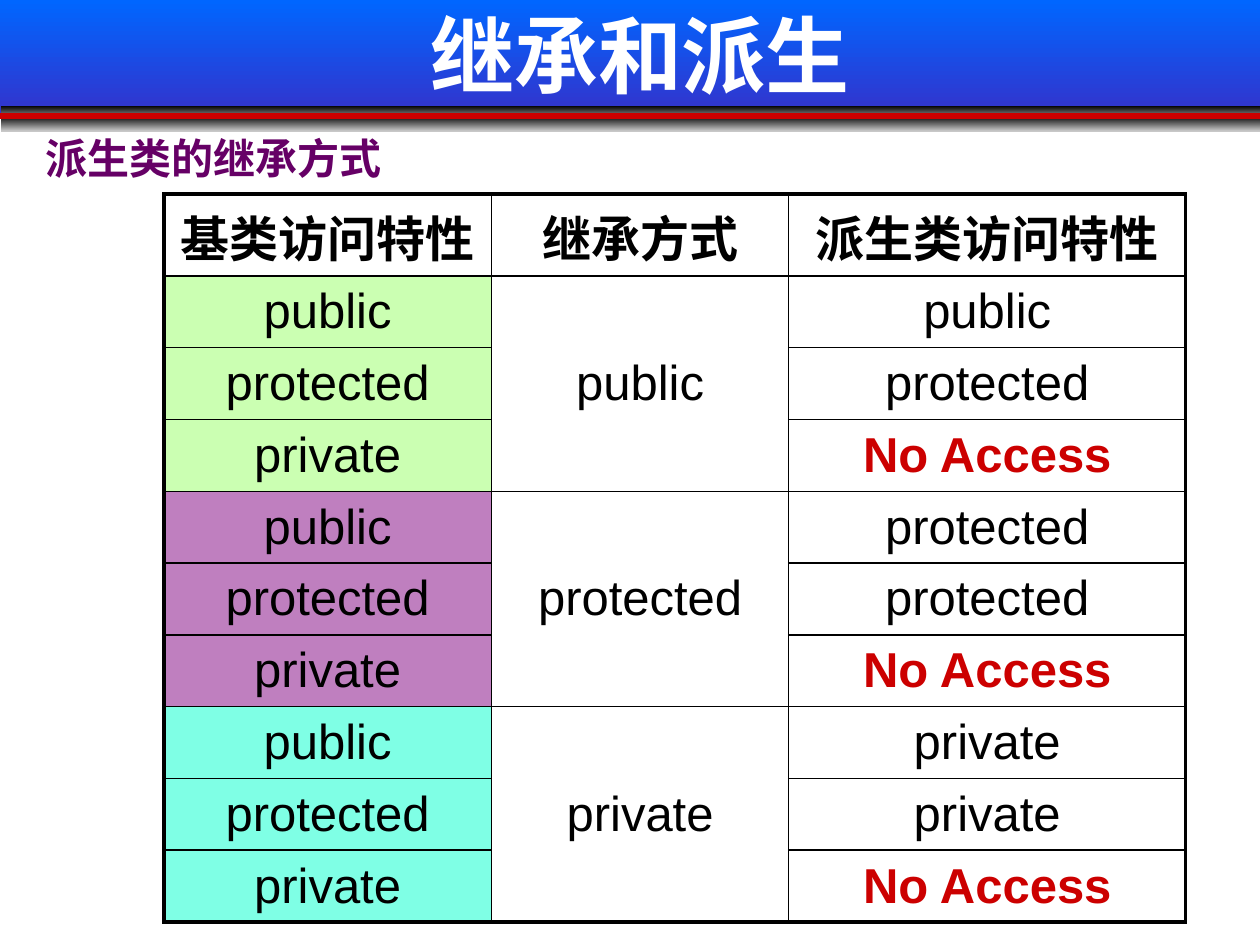
from lxml import etree
from pptx import Presentation
from pptx.dml.color import RGBColor
from pptx.enum.shapes import MSO_CONNECTOR, MSO_SHAPE
from pptx.enum.text import MSO_ANCHOR, PP_ALIGN
from pptx.oxml.ns import qn
from pptx.util import Inches, Pt

RECT = MSO_SHAPE.RECTANGLE
LINE = MSO_CONNECTOR.STRAIGHT
MIDDLE, TOP = MSO_ANCHOR.MIDDLE, MSO_ANCHOR.TOP
CENTER, LEFT = PP_ALIGN.CENTER, PP_ALIGN.LEFT

BLACK = RGBColor(0x00, 0x00, 0x00)
WHITE = RGBColor(0xFF, 0xFF, 0xFF)
GRAY = RGBColor(0xC8, 0xC8, 0xC8)
SKY = RGBColor(0x00, 0x66, 0xFF)
INDIGO = RGBColor(0x33, 0x33, 0xCC)
RED = RGBColor(0xCC, 0x00, 0x00)
PLUM = RGBColor(0x66, 0x00, 0x66)
LIME = RGBColor(0x99, 0xFF, 0x66)
PURPLE = RGBColor(0x80, 0x00, 0x80)
AQUA = RGBColor(0x00, 0xFF, 0xCC)

WIDTH, HEIGHT = 10, 7.5
HAN = "Noto Sans CJK SC"
THIN, THICK = 1, 2.25
BASES = ["public", "protected", "private"]
DENIED = "No Access"
HEADS = ["基类访问特性", "继承方式", "派生类访问特性"]
# inheritance mode, tint, resulting access for each base access
MODES = [
    ("public", LIME, ["public", "protected", DENIED]),
    ("protected", PURPLE, ["protected", "protected", DENIED]),
    ("private", AQUA, ["private", "private", DENIED]),
]
SHARES = [2.6, 2.36, 3.15]
HEAD_ROW = 0.65


def inches(box):
    return [Inches(v) for v in box]


def write(frame, text, align, color, **style):
    para = frame.paragraphs[0]
    para.alignment = align
    run = para.add_run()
    run.text = text
    run.font.color.rgb = color
    for key, value in style.items():
        setattr(run.font, key, value)
    etree.SubElement(run.font._element, qn("a:ea"), typeface=HAN)


def add_text(slide, box, text, anchor, align, color, **style):
    frame = slide.shapes.add_textbox(*inches(box)).text_frame
    frame.word_wrap = True
    frame.vertical_anchor = anchor
    write(frame, text, align, color, **style)


def add_band(slide, box, colors):
    """Draw a bar shaded from its top colour to its bottom colour."""
    band = slide.shapes.add_shape(RECT, *inches(box))
    band.shadow.inherit = False
    band.line.fill.background()
    band.fill.gradient()
    band.fill.gradient_angle = 270
    for stop, color in zip(band.fill.gradient_stops, colors):
        stop.color.rgb = color


def add_header(slide, box, title):
    x, y, w, h = box
    add_band(slide, (x, y, w, h), (SKY, INDIGO))
    for top in (h - 0.07, h + 0.01):
        add_band(slide, (x + 0.01, y + top, w - 0.01, 0.12), (BLACK, GRAY))
    level = y + h + 0.01
    rule = slide.shapes.add_connector(
        LINE, *inches((x, level, x + w, level)))
    rule.line.color.rgb = RED
    rule.line.width = Pt(3)
    etree.SubElement(rule._element.spPr, qn("a:effectLst"))
    add_text(slide, (x + 0.16, y - 0.19, w - 0.16, h + 0.32), title,
             MIDDLE, CENTER, WHITE, name="Cabin", size=Pt(48), bold=True)


def set_edges(cell, widths):
    props = cell._tc.get_or_add_tcPr()
    for side, width in widths.items():
        edge = etree.SubElement(props, qn("a:ln" + side), w=str(Pt(width)))
        fill = etree.SubElement(edge, qn("a:solidFill"))
        etree.SubElement(fill, qn("a:srgbClr"), val=str(BLACK))


def set_fill(cell, color, alpha=100):
    cell.fill.solid()
    cell.fill.fore_color.rgb = color
    if alpha < 100:
        tone = cell._tc.tcPr.find(qn("a:solidFill")).find(qn("a:srgbClr"))
        etree.SubElement(tone, qn("a:alpha"), val=str(alpha * 1000))


def add_access(slide, box):
    """Tabulate base access, inheritance mode and derived access."""
    span = len(BASES)
    rows, cols = 1 + span * len(MODES), len(HEADS)
    table = slide.shapes.add_table(rows, cols, *inches(box)).table
    for col, share in zip(table.columns, SHARES):
        col.width = Inches(box[2] * share / sum(SHARES))
    for r, row in enumerate(table.rows):
        row.height = Inches((box[3] - HEAD_ROW) / (rows - 1)
                            if r else HEAD_ROW)

    grid = [HEADS]
    for mode, _, results in MODES:
        for i, (base, result) in enumerate(zip(BASES, results)):
            grid.append([base, "" if i else mode, result])

    for r, texts in enumerate(grid):
        for c, text in enumerate(texts):
            cell = table.cell(r, c)
            depth = span if r and c == 1 and text else 1
            outer = {"L": c == 0, "R": c == cols - 1,
                     "T": r == 0, "B": r + depth == rows}
            set_edges(cell, {side: THICK if out else THIN
                             for side, out in outer.items()})
            if r and c == 0:
                set_fill(cell, MODES[(r - 1) // span][1], 50)
            else:
                set_fill(cell, WHITE)
            cell.vertical_anchor = MIDDLE
            if text:
                denied = text == DENIED
                write(cell.text_frame, text, CENTER,
                      RED if denied else BLACK, name="Arial", size=Pt(28),
                      bold=denied or r == 0)

    for top in range(1, rows, span):
        table.cell(top, 1).merge(table.cell(top + span - 1, 1))


def main():
    deck = Presentation()
    deck.slide_width, deck.slide_height = Inches(WIDTH), Inches(HEIGHT)
    slide = deck.slides.add_slide(deck.slide_layouts[6])
    add_text(slide, (0.26, 1, 7.19, 0.51), "派生类的继承方式",
             TOP, LEFT, PLUM, name=HAN, size=Pt(24), bold=True)
    add_header(slide, (0, 0, WIDTH, 0.91), "继承和派生")
    add_access(slide, (1.3, 1.54, 8.11, 5.78))
    deck.save("out.pptx")


if __name__ == "__main__":
    main()
